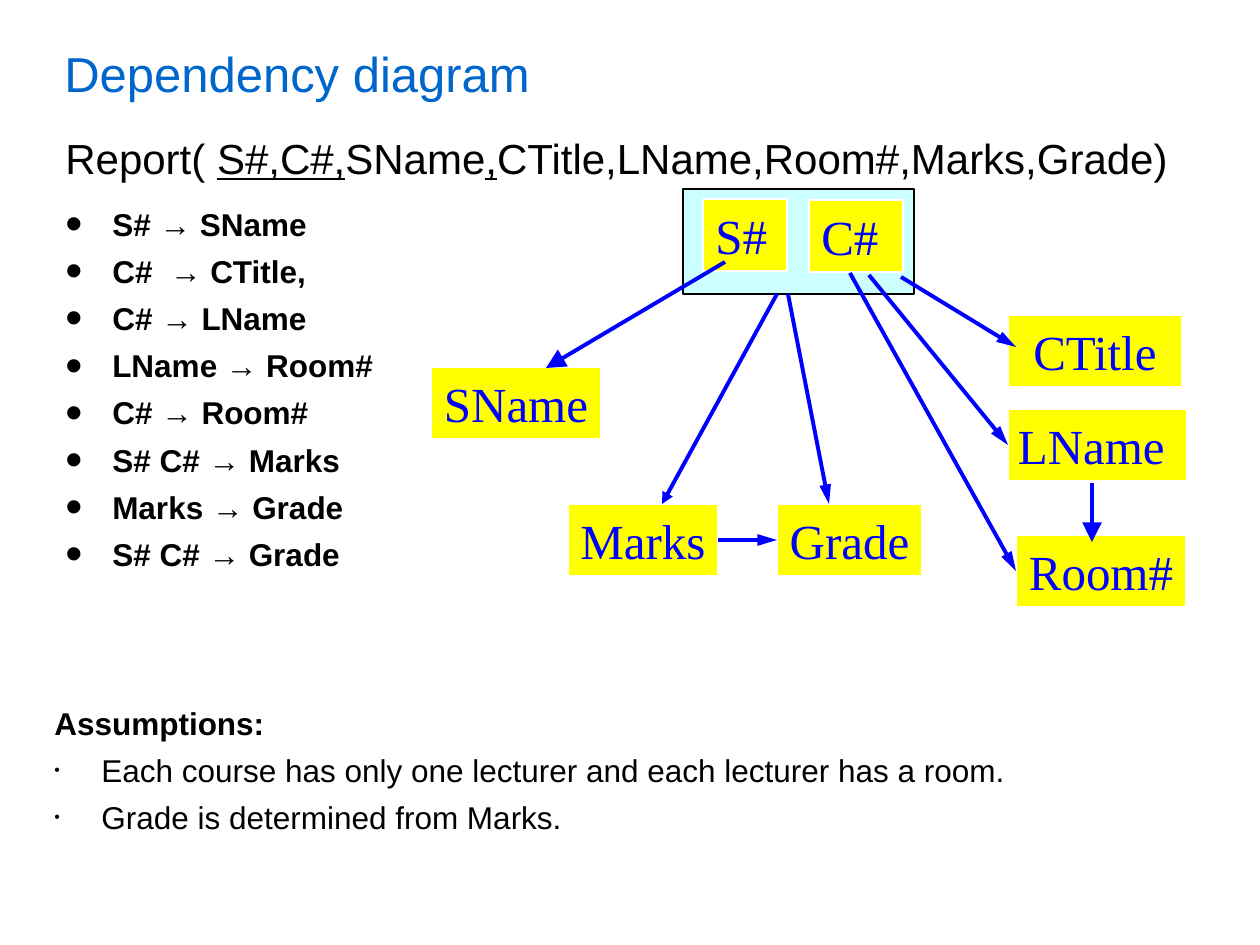
import pptx
import pptx.util
from lxml import etree
from pptx.dml.color import RGBColor
from pptx.enum.shapes import MSO_CONNECTOR, MSO_SHAPE
from pptx.enum.text import MSO_ANCHOR, PP_ALIGN
from pptx.oxml.ns import qn

# Theme
SCALE = 914400 / 126
THEME = {
    "title": "0066CC", "ink": "000000", "node": "FFFF00", "key": "CCFFFF",
    "blue": "0000FF", "white": "FFFFFF",
    "sans": "Arial", "serif": "Times New Roman",
    "large": 28, "medium": 24, "small": 18, "gap": 5.3, "arrow": 2.25,
}

# Content: a run is (text, bold, underlined)
TITLE = "Dependency diagram"
RELATION = [("Report( ", False, False), ("S#,C#,", False, True),
            ("SName", False, False), (",", False, True),
            ("CTitle,LName,Room#,Marks,Grade)", False, False)]
DEPENDENCIES = ["S# → SName", "C#  → CTitle,", "C# → LName", "LName → Room#",
                "C# → Room#", "S# C# → Marks", "Marks → Grade", "S# C# → Grade"]
ASSUMPTIONS_HEADING = "Assumptions:"
ASSUMPTIONS = ["Each course has only one lecturer and each lecturer has a room.",
               "Grade is determined from Marks."]

# Diagram: nodes as name: (left, top, width), all of one height
NODE_HEIGHT = 72
KEY_BOX = (683, 189, 231, 105)
NODES = {
    "Marks": (568, 504, 150), "Grade": (777, 504, 145), "CTitle": (1008, 315, 174),
    "SName": (431, 367, 170), "LName": (1008, 409, 179), "Room#": (1016, 535, 170),
    "S#": (703, 199, 84), "C#": (809, 200, 94),
}
KEYS = ("S#", "C#")
# Arrows: start, end, head width, head length, joined start, joined end
ARROWS = [
    ((788, 294), (829, 504), "med", "lg", None, None),
    ((718, 546), (777, 546), "med", "lg", ("Marks", 3), ("Grade", 1)),
    ((777, 294), (662, 504), "med", "med", None, None),
    ((1092, 483), (1092, 542), "lg", "lg", None, None),
    ((725, 262), (546, 368), "lg", "lg", None, None),
    ((850, 273), (1018, 567), "med", "lg", None, ("Room#", 1)),
    ((869, 275), (1013, 446), "med", "lg", None, ("LName", 1)),
    ((901, 277), (1016, 347), "med", "lg", None, None),
]


def px(*lengths):
    return [round(length * SCALE) for length in lengths]


def color(name):
    return RGBColor.from_string(THEME[name])


def add_run(paragraph, text, size, tint="ink", face="sans", bold=False, underline=False):
    run = paragraph.add_run()
    run.text = text
    run.font.name = THEME[face]
    run.font.size = pptx.util.Pt(THEME[size])
    run.font.color.rgb = color(tint)
    run.font.bold = bold
    run.font.underline = underline


def add_text_box(slide, *box):
    frame = slide.shapes.add_textbox(*px(*box)).text_frame
    frame.word_wrap = True
    return frame


def add_list(frame, items, bullet_size, bold):
    """Items are (text, has_bullet, bold) lines with a hanging indent."""
    for index, (text, has_bullet, bold) in enumerate(items):
        paragraph = frame.paragraphs[0] if index == 0 else frame.add_paragraph()
        paragraph.space_before = pptx.util.Pt(THEME["gap"])
        properties = paragraph._p.get_or_add_pPr()
        indent = px(47)[0]
        properties.set("marL", str(indent))
        properties.set("indent", str(-indent))
        if has_bullet:
            bullet_color = etree.SubElement(properties, qn("a:buClr"))
            etree.SubElement(bullet_color, qn("a:srgbClr"), val=THEME["ink"])
            etree.SubElement(properties, qn("a:buSzPct"), val=str(bullet_size * 1000))
            etree.SubElement(properties, qn("a:buFont"), typeface=THEME["sans"])
            etree.SubElement(properties, qn("a:buChar"), char="•")
        add_run(paragraph, text, "small", bold=bold)


def add_rectangle(slide, box, fill, line, width):
    shape = slide.shapes.add_shape(MSO_SHAPE.RECTANGLE, *px(*box))
    shape.shadow.inherit = False
    shape.fill.solid()
    shape.fill.fore_color.rgb = color(fill)
    shape.line.color.rgb = color(line)
    shape.line.width = pptx.util.Pt(width)
    return shape


def add_node(slide, name, left, top, width):
    shape = add_rectangle(slide, (left, top, width, NODE_HEIGHT), "node", "white", 1)
    frame = shape.text_frame
    frame.word_wrap = False
    frame.vertical_anchor = MSO_ANCHOR.TOP
    paragraph = frame.paragraphs[0]
    paragraph.alignment = PP_ALIGN.LEFT if name in KEYS else PP_ALIGN.CENTER
    text = "LName " if name == "LName" else name
    add_run(paragraph, text, "large", "blue", "serif")
    return shape


def add_arrow(slide, nodes, start, end, head_width, head_length, source, target):
    arrow = slide.shapes.add_connector(MSO_CONNECTOR.STRAIGHT, *px(*start, *end))
    if source:
        arrow.begin_connect(nodes[source[0]], source[1])
    if target:
        arrow.end_connect(nodes[target[0]], target[1])
    arrow.line.color.rgb = color("blue")
    arrow.line.width = pptx.util.Pt(THEME["arrow"])
    etree.SubElement(arrow.line._get_or_add_ln(), qn("a:tailEnd"),
                     type="triangle", w=head_width, len=head_length)
    etree.SubElement(arrow._element.spPr, qn("a:effectLst"))


def main():
    presentation = pptx.Presentation()
    presentation.slide_width, presentation.slide_height = px(1260, 945)
    slide = presentation.slides.add_slide(presentation.slide_layouts[6])

    # Title and relation
    frame = add_text_box(slide, 52, 37, 568, 72)
    frame.vertical_anchor = MSO_ANCHOR.BOTTOM
    add_run(frame.paragraphs[0], TITLE, "large", "title")
    frame = add_text_box(slide, 53, 126, 1137, 63)
    for text, bold, underline in RELATION:
        add_run(frame.paragraphs[0], text, "medium", bold=bold, underline=underline)

    # Lists
    add_list(add_text_box(slide, 53, 199, 378, 388),
             [(text, True, True) for text in DEPENDENCIES], 155, True)
    add_list(add_text_box(slide, 42, 698, 1187, 142),
             [(ASSUMPTIONS_HEADING, False, True)]
             + [(text, True, False) for text in ASSUMPTIONS], 50, False)

    # Diagram
    add_rectangle(slide, KEY_BOX, "key", "ink", 1)
    nodes = {name: add_node(slide, name, *place) for name, place in NODES.items()}
    for arrow in ARROWS:
        add_arrow(slide, nodes, *arrow)

    presentation.save("out.pptx")


if __name__ == "__main__":
    main()
